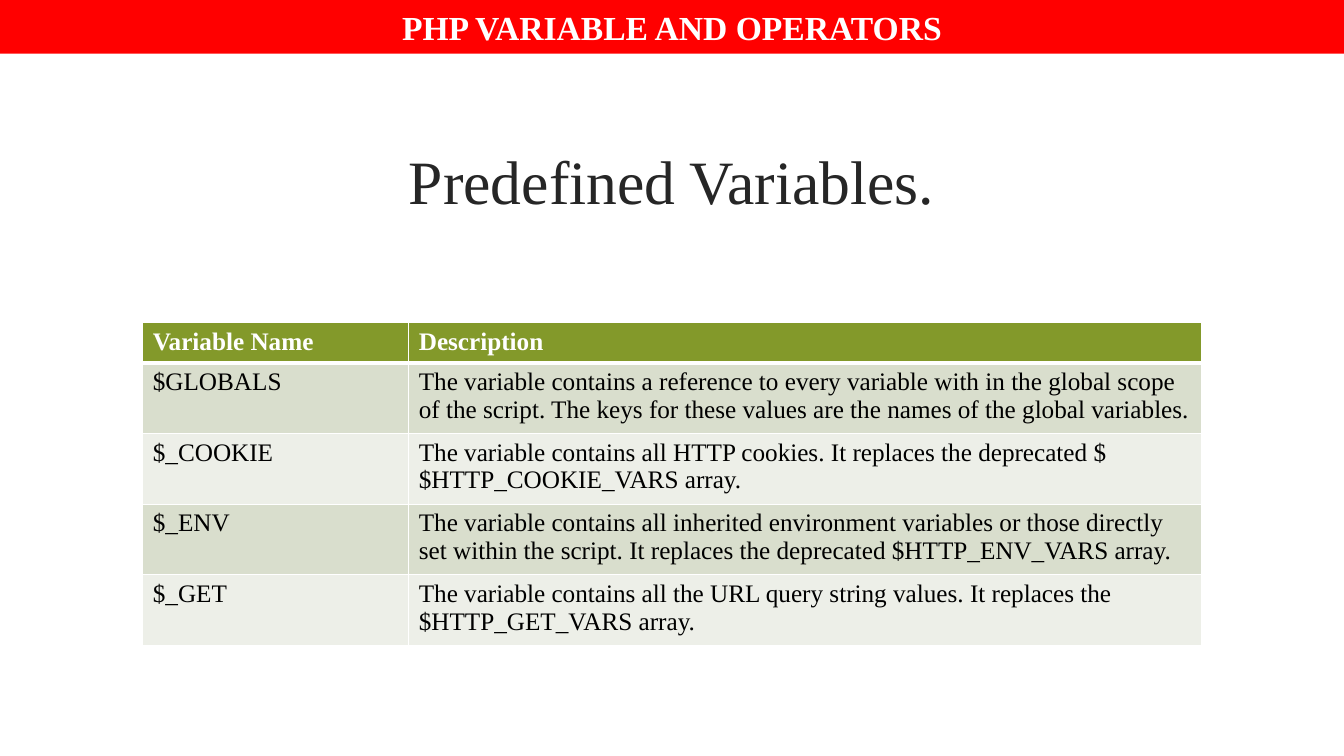
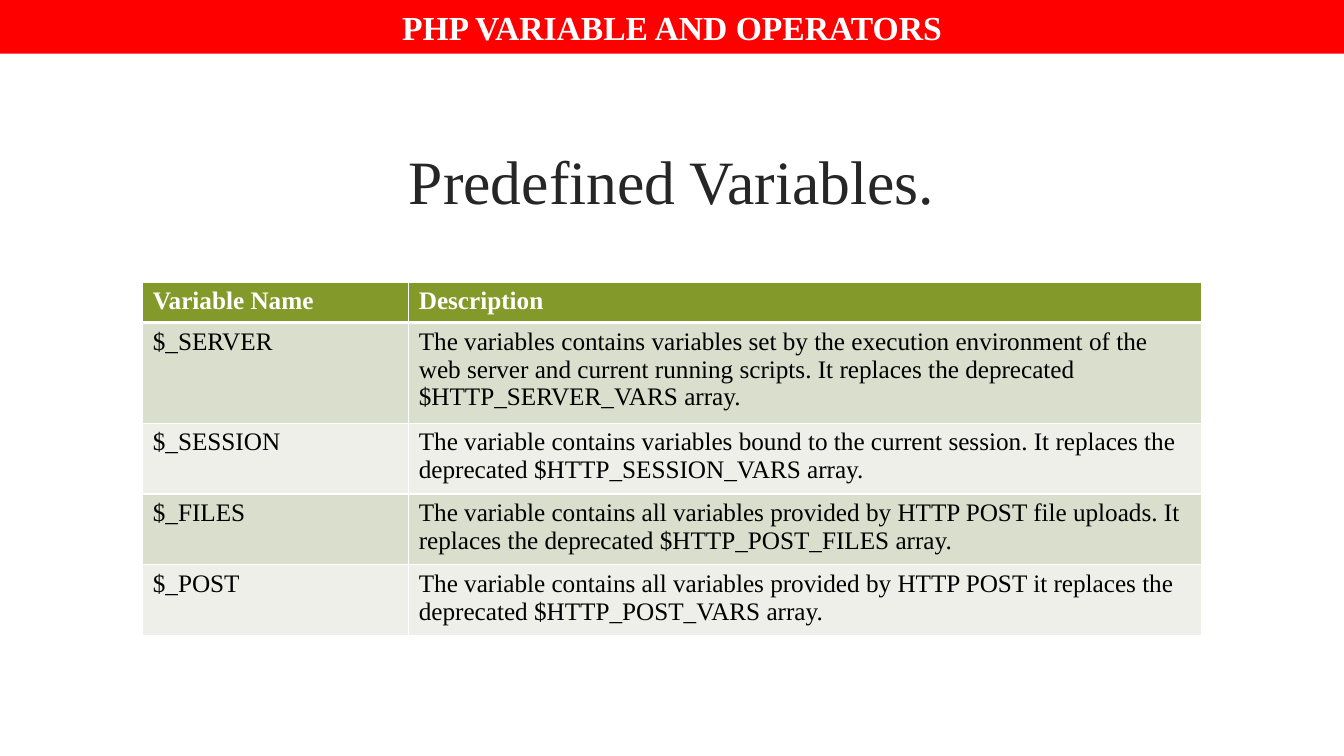
from math import ceil

from lxml.etree import SubElement
from pptx import Presentation
from pptx.dml.color import RGBColor
from pptx.enum.shapes import MSO_SHAPE as SHAPE
from pptx.enum.text import MSO_ANCHOR as ANCHOR, PP_ALIGN as ALIGN
from pptx.oxml.ns import qn
from pptx.util import Pt

SLIDE_W, SLIDE_H = 960, 540
BAND_H = 38.4
LEFT, CONTENT_W = 102, 756
COLUMNS = (190, CONTENT_W - 190)
LINE_CHARS = 80
FONT = "Times New Roman"
WHITE, BLACK, RED, DARK = "FFFFFF", "000000", "FF0000", "262626"
OLIVE, STRIPES = "83992A", ("D9DECD", "EDEFE8")
BAND_TEXT = {"size": Pt(24), "bold": True}
TITLE_TEXT = {"size": Pt(44), "bold": False}
HEAD_TEXT = {"size": Pt(18), "bold": True}
CELL_TEXT = {"size": Pt(18), "bold": False}

HEADER = ("Variable Name", "Description")
SLIDES = [
    (230.4, [
        ("$GLOBALS", "The variable contains a reference to every variable with in the global scope of the script. The keys for these values are the names of the global variables."),
        ("$_COOKIE", "The variable contains all HTTP cookies. It replaces the deprecated $$HTTP_COOKIE_VARS array."),
        ("$_ENV", "The variable contains all inherited environment variables or those directly set within the script. It replaces the deprecated $HTTP_ENV_VARS array."),
        ("$_GET", "The variable contains all the URL query string values. It replaces the $HTTP_GET_VARS array."),
    ]),
    (201.6, [
        ("$_SERVER", "The variables contains variables set by the execution environment of the web server and current running scripts. It replaces the deprecated $HTTP_SERVER_VARS array."),
        ("$_SESSION", "The variable contains variables bound to the current session. It replaces the deprecated $HTTP_SESSION_VARS array."),
        ("$_FILES", "The variable contains all variables provided by HTTP POST file uploads. It replaces the deprecated $HTTP_POST_FILES array."),
        ("$_POST", "The variable contains all variables provided by HTTP POST it replaces the deprecated $HTTP_POST_VARS array."),
    ]),
]


def rgb(value):
    return RGBColor.from_string(value)


def paint(target, color):
    target.fill.solid()
    target.fill.fore_color.rgb = rgb(color)


def write(tf, text, color, style, align=ALIGN.LEFT):
    tf.word_wrap = True
    p = tf.paragraphs[0]
    p.alignment = align
    r = p.add_run()
    r.text = text
    r.font.name = FONT
    r.font.color.rgb = rgb(color)
    for name, value in style.items():
        setattr(r.font, name, value)


def add_band(s, text):
    sp = s.shapes.add_shape(SHAPE.RECTANGLE, 0, 0, Pt(SLIDE_W), Pt(BAND_H))
    sp.shadow.inherit = False
    paint(sp, RED)
    sp.line.fill.background()
    sp.text_frame.vertical_anchor = ANCHOR.MIDDLE
    write(sp.text_frame, text, WHITE, BAND_TEXT, ALIGN.CENTER)


def add_title(s, text):
    sp = s.shapes.add_textbox(Pt(LEFT), Pt(77), Pt(CONTENT_W), Pt(103))
    sp.text_frame.vertical_anchor = ANCHOR.MIDDLE
    write(sp.text_frame, text, DARK, TITLE_TEXT, ALIGN.CENTER)


def add_borders(cell, top, bottom):
    props = cell._tc.get_or_add_tcPr()
    for side, width in (("L", 1), ("R", 1), ("T", top), ("B", bottom)):
        line = SubElement(props, qn(f"a:ln{side}"), w=str(Pt(width)))
        fill = SubElement(line, qn("a:solidFill"))
        SubElement(fill, qn("a:srgbClr"), val=WHITE)


def add_table(s, top, rows):
    heights = [7.2 + 20 * ceil(len(row[1]) / LINE_CHARS) for row in rows]
    table = s.shapes.add_table(len(rows), len(COLUMNS), Pt(LEFT), Pt(top),
                               Pt(CONTENT_W), Pt(sum(heights))).table
    for column, width in zip(table.columns, COLUMNS):
        column.width = Pt(width)
    for i, (row, height) in enumerate(zip(rows, heights)):
        table.rows[i].height = Pt(height)
        fill, color, style = ((STRIPES[(i - 1) % 2], BLACK, CELL_TEXT) if i
                              else (OLIVE, WHITE, HEAD_TEXT))
        for j, text in enumerate(row):
            cell = table.cell(i, j)
            add_borders(cell, 3 if i == 1 else 1, 3 if i == 0 else 1)
            paint(cell, fill)
            write(cell.text_frame, text, color, style)


def main():
    prs = Presentation()
    prs.slide_width, prs.slide_height = Pt(SLIDE_W), Pt(SLIDE_H)
    for top, rows in SLIDES:
        s = prs.slides.add_slide(prs.slide_layouts[6])
        add_band(s, "PHP VARIABLE AND OPERATORS")
        add_title(s, "Predefined Variables.")
        add_table(s, top, [HEADER, *rows])
    prs.save("out.pptx")


if __name__ == "__main__":
    main()
